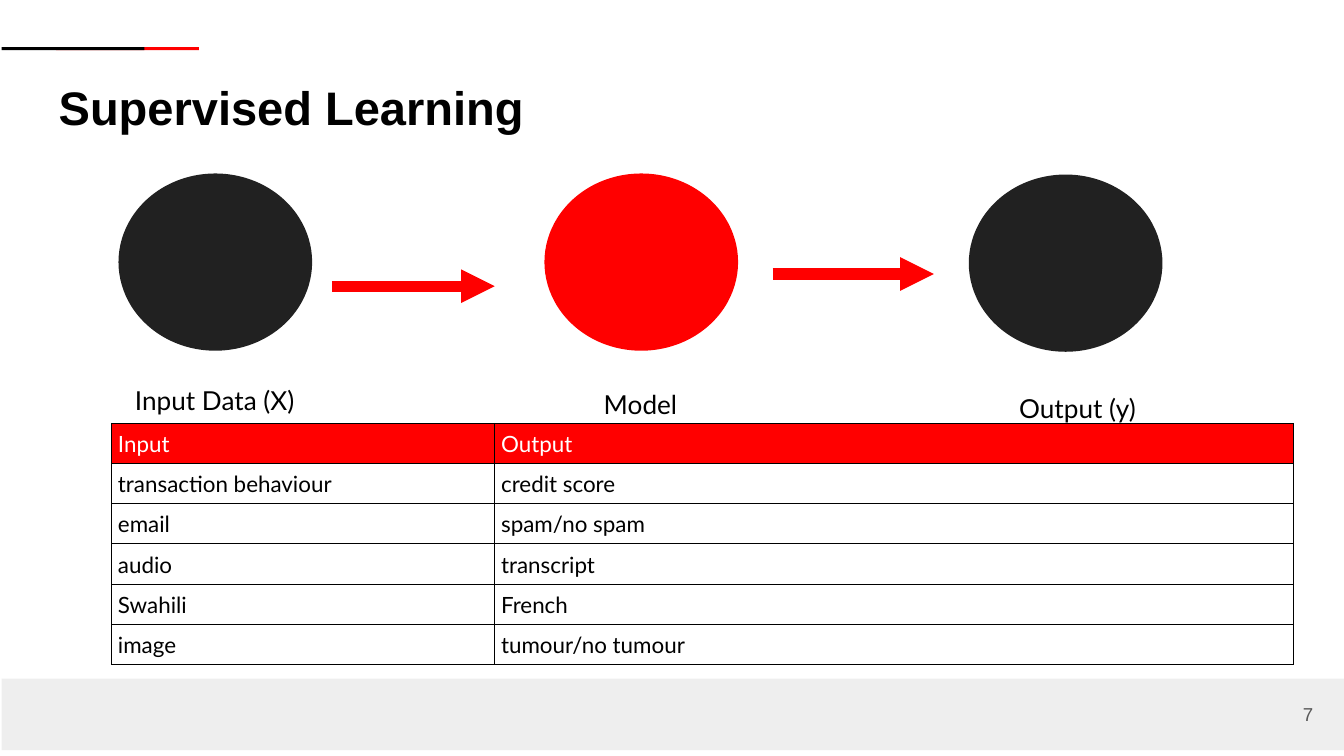
from dataclasses import dataclass

from lxml.etree import SubElement
from pptx import Presentation
from pptx.dml.color import RGBColor
from pptx.enum.shapes import MSO_CONNECTOR, MSO_SHAPE
from pptx.enum.text import MSO_ANCHOR, PP_ALIGN
from pptx.oxml.ns import qn
from pptx.util import Cm, Pt


@dataclass(frozen=True)
class Theme:
    red: RGBColor = RGBColor(0xFF, 0x00, 0x00)
    black: RGBColor = RGBColor(0x00, 0x00, 0x00)
    white: RGBColor = RGBColor(0xFF, 0xFF, 0xFF)
    charcoal: RGBColor = RGBColor(0x21, 0x21, 0x21)
    footer: RGBColor = RGBColor(0xEE, 0xEE, 0xEE)
    grey: RGBColor = RGBColor(0x59, 0x59, 0x59)
    heading_font: str = "Arial"
    body_font: str = "Lato"
    title_size: Pt = Pt(25.2)
    label_size: Pt = Pt(14)
    cell_size: Pt = Pt(12)
    number_size: Pt = Pt(10)


theme = Theme()
deck = Presentation()
deck.slide_width, deck.slide_height = Cm(25.4), Cm(14.29)
page = deck.slides.add_slide(deck.slide_layouts[6])


def add_filled(kind, left, top, width, height, color):
    shape = page.shapes.add_shape(kind, Cm(left), Cm(top), Cm(width), Cm(height))
    shape.shadow.inherit = False
    shape.fill.solid()
    shape.fill.fore_color.rgb = color
    shape.line.fill.background()


def write(frame, text, font, size, color, align=PP_ALIGN.LEFT, bold=False):
    """Put one formatted run in the first paragraph of a text frame."""
    frame.word_wrap = True
    para = frame.paragraphs[0]
    para.alignment = align
    span = para.add_run()
    span.text = text
    span.font.name, span.font.size, span.font.bold = font, size, bold
    span.font.color.rgb = color


# Footer band and the two overlapping accent bars
for left, top, width, height, color in (
    (0.03, 12.83, 25.37, 1.35, theme.footer),
    (1.06, 0.89, 2.7, 0.06, theme.red),
    (0.03, 0.89, 2.7, 0.06, theme.black),
):
    add_filled(MSO_SHAPE.RECTANGLE, left, top, width, height, color)

# Title and page number
title = page.shapes.add_textbox(Cm(0.86), Cm(1.24), Cm(23.67), Cm(1.6))
number = page.shapes.add_textbox(Cm(23.55), Cm(12.95), Cm(1.52), Cm(1.09))
for box in (title, number):
    box.text_frame.margin_top = box.text_frame.margin_bottom = Cm(0.25)
number.text_frame.vertical_anchor = MSO_ANCHOR.MIDDLE
write(title.text_frame, "Supervised Learning", theme.heading_font,
      theme.title_size, theme.black, bold=True)
write(number.text_frame, "7", theme.heading_font,
      theme.number_size, theme.grey, PP_ALIGN.RIGHT)

# Stages: circle left and top, colour, then label and its left, top, width
stages = (
    (2.24, 3.28, theme.charcoal, "Input Data (X)", 1.85, 7.14, 4.42),
    (10.29, 3.28, theme.red, "Model", 10.49, 7.21, 3.23),
    (18.31, 3.3, theme.charcoal, "Output (y)", 18.75, 7.29, 3.23),
)
for left, top, color, label, label_left, label_top, label_width in stages:
    add_filled(MSO_SHAPE.OVAL, left, top, 3.66, 3.35, color)
    box = page.shapes.add_textbox(
        Cm(label_left), Cm(label_top), Cm(label_width), Cm(0.86))
    write(box.text_frame, label, theme.body_font,
          theme.label_size, theme.black, PP_ALIGN.CENTER)

# Table of examples
examples = (
    ("Input", "Output"),
    ("transaction behaviour", "credit score"),
    ("email", "spam/no spam"),
    ("audio", "transcript"),
    ("Swahili", "French"),
    ("image", "tumour/no tumour"),
)
column_widths = (7.24, 15.09)
row_height = 0.76
table = page.shapes.add_table(
    len(examples), len(column_widths), Cm(2.11), Cm(8),
    Cm(sum(column_widths)), Cm(row_height * len(examples))).table
table.first_row = table.horz_banding = False
for column, width in zip(table.columns, column_widths):
    column.width = Cm(width)
for row_index, texts in enumerate(examples):
    table.rows[row_index].height = Cm(row_height)
    for column_index, text in enumerate(texts):
        cell = table.cell(row_index, column_index)
        cell.vertical_anchor = MSO_ANCHOR.BOTTOM
        cell.margin_left = cell.margin_right = Cm(0.12)
        cell.margin_top = cell.margin_bottom = Cm(0.12)
        properties = cell._tc.get_or_add_tcPr()
        for side in ("a:lnL", "a:lnR", "a:lnT", "a:lnB"):
            border = SubElement(properties, qn(side), w=str(Pt(0.5)))
            border_fill = SubElement(border, qn("a:solidFill"))
            SubElement(border_fill, qn("a:srgbClr"), val=str(theme.black))
        if row_index == 0:
            cell.fill.solid()
            cell.fill.fore_color.rgb = theme.red
        else:
            cell.fill.background()
        write(cell.text_frame, text, theme.body_font, theme.cell_size,
              theme.black if row_index else theme.white)

# Arrows between the stages
for start, end, level in ((6.27, 9.35, 5.41), (14.6, 17.65, 5.18)):
    arrow = page.shapes.add_connector(
        MSO_CONNECTOR.STRAIGHT, Cm(start), Cm(level), Cm(end), Cm(level))
    arrow.line.color.rgb = theme.red
    arrow.line.width = Pt(6)
    SubElement(arrow.line._get_or_add_ln(), qn("a:tailEnd"), type="triangle")
    SubElement(arrow._element.spPr, qn("a:effectLst"))

deck.save("out.pptx")
